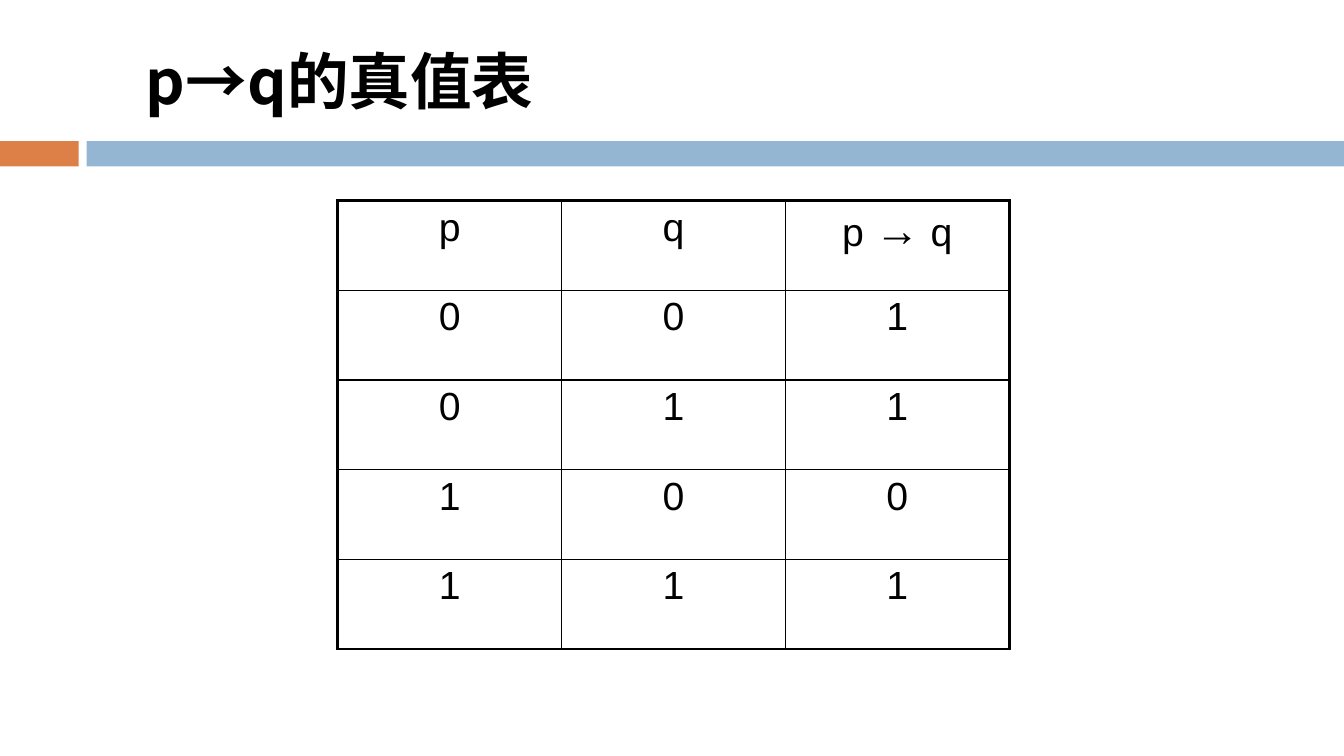
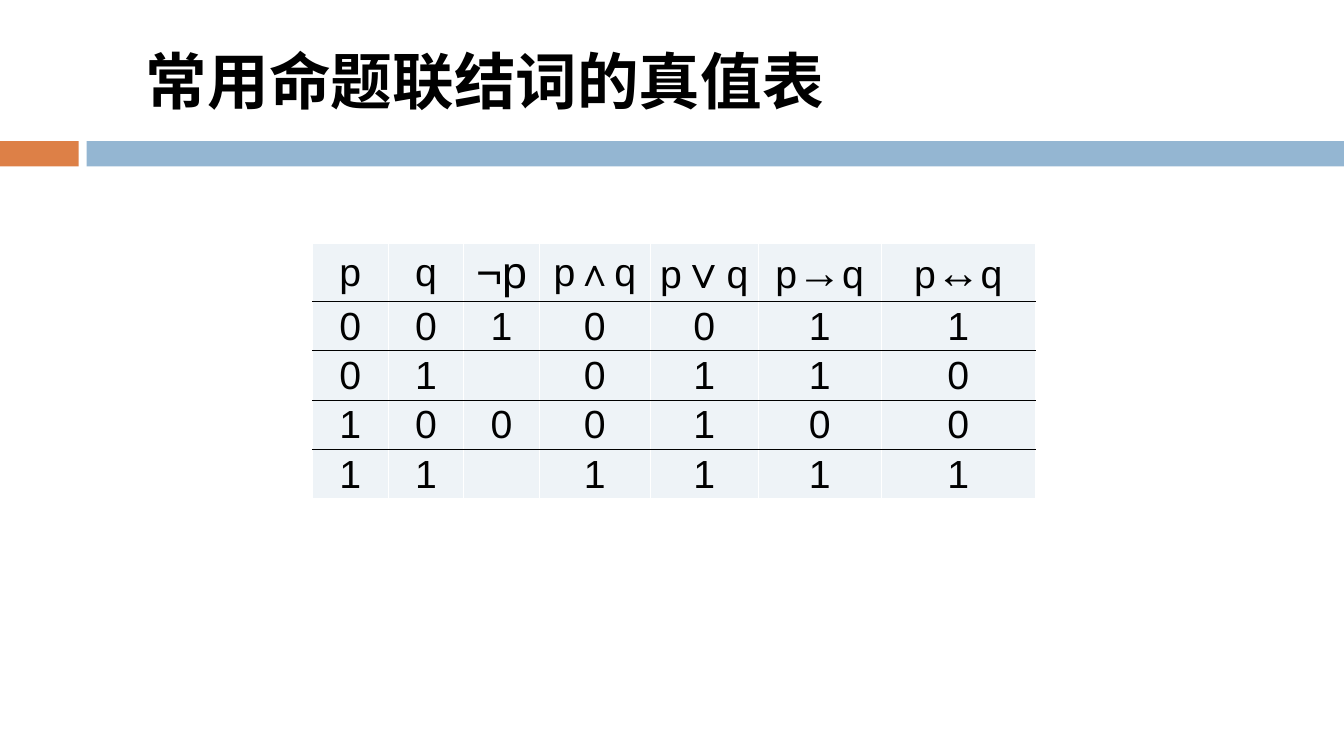
from dataclasses import dataclass

from lxml import etree
from pptx import Presentation
from pptx.dml.color import RGBColor
from pptx.enum import shapes, text
from pptx.oxml import ns
from pptx.util import Inches, Pt


@dataclass(frozen=True)
class Theme:
    black: str = "000000"
    white: str = "FFFFFF"
    orange: str = "DD8047"
    blue: str = "94B6D2"
    pale: str = "EEF3F7"
    title_font: str = "Noto Sans CJK SC"
    body_font: str = "Arial"
    title_size: int = 44
    body_size: int = 28
    symbol_size: int = 32
    thin: float = 1
    thick: float = 2.25


T = Theme()


# Text
def add_run(p, words, size=T.body_size, font=T.body_font, color=T.black, bold=False):
    r = p.add_run()
    r.text = words
    r.font.size, r.font.name, r.font.bold = Pt(size), font, bold
    r.font.color.rgb = RGBColor.from_string(color)
    ea = etree.SubElement(r._r.get_or_add_rPr(), ns.qn("a:ea"))
    ea.set("typeface", font)


def formula(left, symbol, right):
    """Text parts with the connective set larger than the variables."""
    return [(left, T.body_size), (symbol, T.symbol_size), (right, T.body_size)]


# Shared frame: title and two bands
def add_band(s, left, width, color):
    sp = s.shapes.add_shape(shapes.MSO_SHAPE.RECTANGLE, Inches(left), Inches(1.4),
                            Inches(width), Inches(0.25))
    sp.shadow.inherit = False
    sp.fill.solid()
    sp.fill.fore_color.rgb = RGBColor.from_string(color)
    sp.line.fill.background()


def add_titled_slide(prs, title):
    s = prs.slides.add_slide(prs.slide_layouts[6])
    add_band(s, 0, 0.78, T.orange)
    add_band(s, 0.86, 12.47, T.blue)
    tf = s.shapes.add_textbox(Inches(1.35), Inches(0.25), Inches(10.67), Inches(1.08)).text_frame
    tf.word_wrap = True
    tf.vertical_anchor = text.MSO_ANCHOR.MIDDLE
    add_run(tf.paragraphs[0], title, T.title_size, T.title_font, bold=True)
    return s


# Tables
def set_borders(cell, **sides):
    """Each side (L, R, T, B) takes a colour and a width in points."""
    tc_pr = cell._tc.get_or_add_tcPr()
    for i, side in enumerate("LRTB"):
        color, width = sides[side]
        ln = etree.Element(ns.qn(f"a:ln{side}"), w=str(Pt(width)))
        fill = etree.SubElement(ln, ns.qn("a:solidFill"))
        etree.SubElement(fill, ns.qn("a:srgbClr"), val=color)
        tc_pr.insert(i, ln)


def fill_cell(cell, content, fill, margins, anchor):
    if fill:
        cell.fill.solid()
        cell.fill.fore_color.rgb = RGBColor.from_string(fill)
    else:
        cell.fill.background()
    if margins:
        cell.margin_left, cell.margin_top, cell.margin_right, cell.margin_bottom = map(Inches, margins)
    cell.vertical_anchor = anchor
    p = cell.text_frame.paragraphs[0]
    p.alignment = text.PP_ALIGN.CENTER
    parts = [(content, T.body_size)] if isinstance(content, str) else content
    for words, size in parts:
        if words:
            add_run(p, words, size)


def add_truth_table(s, left, top, widths, heights, rows, outer_x, outer_y, inner_x, inner_y,
                    fill=None, margins=None, anchor=text.MSO_ANCHOR.TOP):
    """Outer and inner borders are given for vertical (x) and horizontal (y) lines."""
    table = s.shapes.add_table(len(heights), len(widths), Inches(left), Inches(top),
                               Inches(sum(widths)), Inches(sum(heights))).table
    table.first_row = table.horz_banding = False
    for column, width in zip(table.columns, widths):
        column.width = Inches(width)
    for row, height in zip(table.rows, heights):
        row.height = Inches(height)
    last_row, last_col = len(heights) - 1, len(widths) - 1
    for i, contents in enumerate(rows):
        for j, content in enumerate(contents):
            cell = table.cell(i, j)
            fill_cell(cell, content, fill, margins, anchor)
            set_borders(cell,
                        L=outer_x if j == 0 else inner_x,
                        R=outer_x if j == last_col else inner_x,
                        T=outer_y if i == 0 else inner_y,
                        B=outer_y if i == last_row else inner_y)


# Slides
def add_implication_slide(prs):
    s = add_titled_slide(prs, "p→q的真值表")
    frame, rule = (T.black, T.thick), (T.black, T.thin)
    rows = [["p", "q", formula("p ", "→", " q")], *map(list, ("001", "011", "100", "111"))]
    add_truth_table(s, 3.35, 1.99, [2.22] * 3, [0.89] * 5, rows, frame, frame, rule, rule)


def add_connectives_slide(prs):
    s = add_titled_slide(prs, "常用命题联结词的真值表")
    gap, rule = (T.white, T.thin), (T.black, T.thin)
    header = ["p", "q", [("¬p", T.symbol_size)], "p∧q",
              *(formula("p", symbol, "q") for symbol in "∨→↔")]
    values = [list("0010011"), ["0", "1", "", *"0110"],
              list("1000100"), ["1", "1", "", *"1111"]]
    add_truth_table(s, 3.1, 2.41, [0.75, 0.75, 0.75, 1.1, 1.07, 1.22, 1.53],
                    [0.58] + [0.49] * 4, [header, *values], gap, gap, gap, rule,
                    fill=T.pale, margins=(0.01, 0.01, 0.01, 0), anchor=text.MSO_ANCHOR.MIDDLE)


def main():
    prs = Presentation()
    prs.slide_width, prs.slide_height = Inches(13.33), Inches(7.5)
    add_implication_slide(prs)
    add_connectives_slide(prs)
    prs.save("out.pptx")


main()
